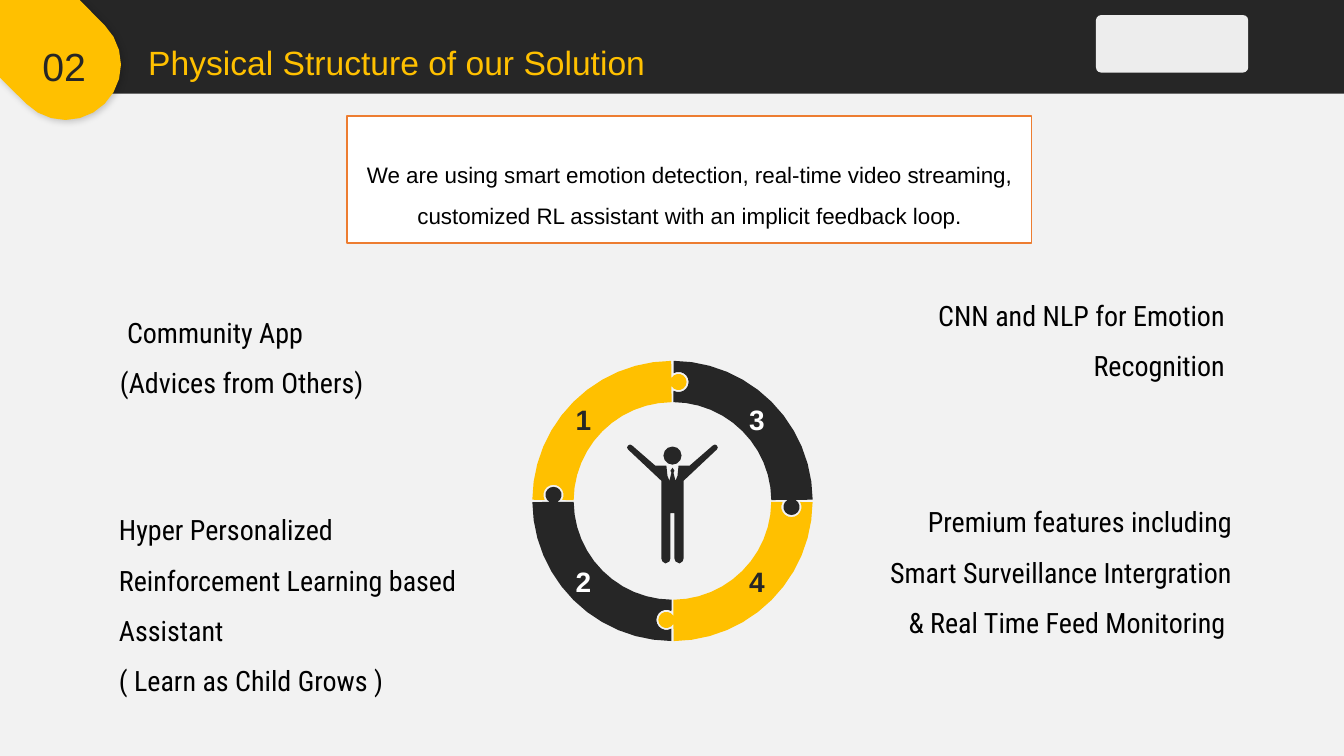
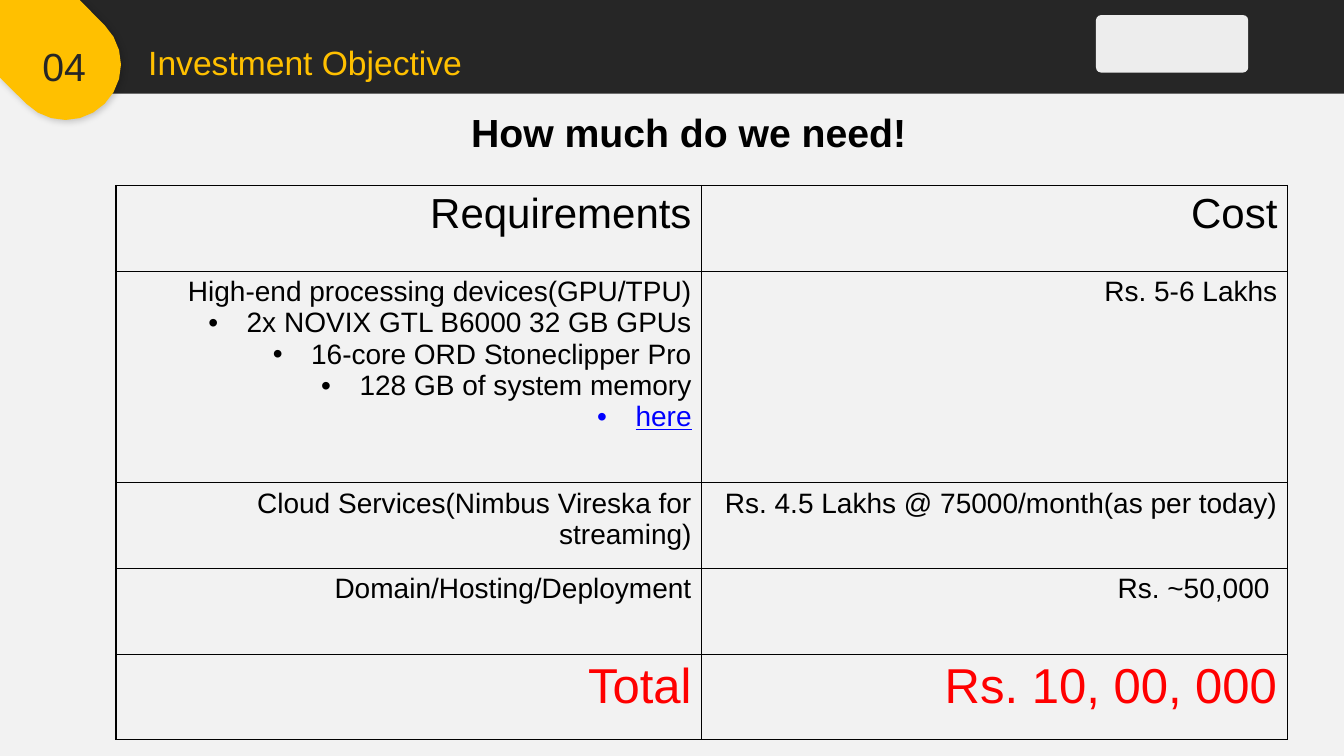
from math import cos, radians, sin

from lxml.etree import SubElement
from pptx import Presentation
from pptx.dml.color import RGBColor
from pptx.enum.shapes import MSO_SHAPE
from pptx.enum.text import MSO_ANCHOR, MSO_AUTO_SIZE, PP_ALIGN
from pptx.oxml import parse_xml
from pptx.oxml.ns import nsdecls, qn
from pptx.util import Inches, Pt

DARK = RGBColor(0x26, 0x26, 0x26)
YELLOW = RGBColor(0xFF, 0xC0, 0x00)
PAPER = RGBColor(0xF2, 0xF2, 0xF2)
PLATE = RGBColor(0xED, 0xED, 0xED)
WHITE = RGBColor(0xFF, 0xFF, 0xFF)
BLACK = RGBColor(0x00, 0x00, 0x00)
ORANGE = RGBColor(0xED, 0x7D, 0x31)
RED = RGBColor(0xFF, 0x00, 0x00)
LINK_BLUE = RGBColor(0x00, 0x00, 0xFF)

ARIAL = "Arial"
CONDENSED = "Roboto Condensed"
RING_X, RING_Y = 6.67, 4.97
RING_OUTER, RING_INNER, RING_MIDDLE = 1.39, 0.98, 1.18

REQUIREMENTS = [
    (["Requirements"], "Cost", 30, BLACK),
    (["High-end processing devices(GPU/TPU)", "2x NOVIX GTL B6000 32 GB GPUs",
      "16-core ORD Stoneclipper Pro", "128 GB of system memory", "here"],
     "Rs. 5-6 Lakhs", 20, BLACK),
    (["Cloud Services(Nimbus Vireska for streaming)"],
     "Rs. 4.5 Lakhs @ 75000/month(as per today)", 20, BLACK),
    (["Domain/Hosting/Deployment"], "Rs. ~50,000 ", 20, BLACK),
    (["Total"], "Rs. 10, 00, 000", 35, RED),
]


# Text
def style(para, size, color, font=ARIAL, bold=False, align=PP_ALIGN.LEFT, spacing=1.0):
    para.alignment = align
    para.line_spacing = spacing
    para.space_before = Pt(0)
    para.font.name = font
    para.font.size = Pt(size)
    para.font.bold = bold
    para.font.color.rgb = color


def set_indent(para, left, first):
    properties = para._p.get_or_add_pPr()
    properties.set("marL", str(Inches(left)))
    properties.set("indent", str(Inches(first)))
    return properties


def prepare_frame(frame, inset, wrap=True):
    frame.word_wrap = wrap
    frame.auto_size = MSO_AUTO_SIZE.NONE
    frame.vertical_anchor = MSO_ANCHOR.TOP
    frame.margin_left = frame.margin_right = Inches(inset)
    frame.margin_top = frame.margin_bottom = Inches(inset)


def add_text(slide, place, lines, size, color, inset=0.05, wrap=True, **look):
    box = slide.shapes.add_textbox(*map(Inches, place))
    prepare_frame(box.text_frame, inset, wrap)
    box.text_frame.text = "\n".join(lines)
    for para in box.text_frame.paragraphs:
        style(para, size, color, **look)
    return box


def fill_placeholder(placeholder, place, text, size, color, **look):
    placeholder.left, placeholder.top, placeholder.width, placeholder.height = map(Inches, place)
    prepare_frame(placeholder.text_frame, 0.05)
    placeholder.text_frame.text = text
    para = placeholder.text_frame.paragraphs[0]
    SubElement(set_indent(para, 0, 0), qn("a:buNone"))
    style(para, size, color, **look)


# Shapes
def paint(shape, fill, line=None):
    shape.shadow.inherit = False
    shape.fill.solid()
    shape.fill.fore_color.rgb = fill
    if line is None:
        shape.line.fill.background()
    else:
        shape.line.color.rgb = line
        shape.line.width = Pt(1)
    return shape


def add_preset(slide, kind, place, fill, line=None):
    return paint(slide.shapes.add_shape(kind, *map(Inches, place)), fill, line)


def add_outline(slide, points, fill):
    corners = [(Inches(x), Inches(y)) for x, y in points]
    builder = slide.shapes.build_freeform(*corners[0])
    builder.add_line_segments(corners[1:], close=True)
    return paint(builder.convert_to_shape(), fill)


def arc(x, y, radius, start, end, steps=12):
    angles = [radians(start + (end - start) * i / steps) for i in range(steps + 1)]
    return [(x + radius * cos(a), y + radius * sin(a)) for a in angles]


# Shared header, kept on the master
def build_master(deck, slide):
    master = deck.slide_master
    master.background.fill.solid()
    master.background.fill.fore_color.rgb = PAPER

    band = add_preset(slide, MSO_SHAPE.RECTANGLE, (0, 0, 13.33, 0.93), DARK)
    corner = add_preset(slide, MSO_SHAPE.RIGHT_TRIANGLE, (0, 0, 1.35, 1.35), PAPER)
    drop = [(0, 0), (0.79, 0)] + arc(0.65, 0.64, 0.55, -45, 135) + [(0, 0.77)]
    badge = add_outline(slide, drop, YELLOW)
    badge.element.spPr.find(qn("a:effectLst")).append(parse_xml(
        f'<a:outerShdw {nsdecls("a")} blurRad="63500" dist="25400" dir="2700000">'
        '<a:srgbClr val="000000"><a:alpha val="20000"/></a:srgbClr></a:outerShdw>'))
    plate = add_preset(slide, MSO_SHAPE.ROUNDED_RECTANGLE, (10.87, 0.15, 1.51, 0.57), PLATE)
    plate.adjustments[0] = 0.09

    for number, shape in enumerate((band, corner, badge, plate), 101):
        shape.element.nvSpPr.cNvPr.set("id", str(number))
        master.shapes.element.append(shape.element)


def add_heading(slide, number, title):
    fill_placeholder(slide.shapes.title, (1.42, 0.37, 7.91, 0.48), title, 24, YELLOW)
    add_text(slide, (0.29, 0.37, 0.69, 0.53), [number], 28, DARK, align=PP_ALIGN.CENTER)


# Puzzle ring and figure
def add_puzzle_ring(slide):
    piece = (arc(0, 0, RING_OUTER, -89.5, -0.5)
             + arc(RING_MIDDLE, 0.06, 0.08, -61, 241)
             + arc(0, 0, RING_INNER, -0.5, -89.5)
             + arc(0.06, -RING_MIDDLE, 0.1, 120, -120))
    for fill in (DARK, YELLOW, DARK, YELLOW):
        add_outline(slide, [(RING_X + x, RING_Y + y) for x, y in piece], fill)
        piece = [(-y, x) for x, y in piece]

    numbers = [("1", 5.66, 3.94, DARK), ("3", 7.38, 3.94, WHITE),
               ("2", 5.66, 5.55, WHITE), ("4", 7.38, 5.55, DARK)]
    for number, left, top, color in numbers:
        add_text(slide, (left, top, 0.27, 0.41), [number], 20, color, wrap=False, bold=True)


def add_figure(slide):
    add_preset(slide, MSO_SHAPE.OVAL, (6.58, 4.43, 0.18, 0.18), DARK)
    right_half = [
        (0, 4.64), (0.02, 4.67), (0.01, 4.69), (0.03, 4.77), (0.05, 4.72), (0.06, 4.62),
        (0.17, 4.62), (0.4, 4.42), (0.42, 4.41), (0.44, 4.42), (0.45, 4.44), (0.44, 4.46),
        (0.11, 4.77), (0.11, 5.54), (0.1, 5.57), (0.07, 5.59), (0.03, 5.57), (0.02, 5.54),
        (0.02, 5.09)]
    left_half = [(-x, y) for x, y in reversed(right_half[1:])]
    add_outline(slide, [(RING_X + x, y) for x, y in right_half + left_half], DARK)


def build_structure_slide(slide):
    add_heading(slide, "02", "Physical Structure of our Solution")

    # Summary box
    add_preset(slide, MSO_SHAPE.RECTANGLE, (3.44, 1.15, 6.79, 1.26), WHITE, ORANGE)
    add_text(slide, (3.5, 1.42, 6.68, 0.71),
             ["We are using smart emotion detection, real-time video streaming, "
              "customized RL assistant with an implicit feedback loop."],
             16, BLACK, align=PP_ALIGN.CENTER, spacing=1.5)

    add_puzzle_ring(slide)
    add_figure(slide)

    # Captions around the ring
    captions = [
        ((1.19, 2.96, 2.75, 0.83), PP_ALIGN.LEFT, ["Community App (Advices from Others)"]),
        ((1.18, 4.92, 3.57, 2.33), PP_ALIGN.LEFT,
         ["Hyper Personalized Reinforcement Learning based Assistant",
          "( Learn as Child Grows )"]),
        ((9.23, 2.79, 2.92, 1), PP_ALIGN.RIGHT, ["CNN and NLP for Emotion Recognition"]),
        ((8.65, 4.84, 3.57, 1.83), PP_ALIGN.RIGHT,
         ["Premium features including Smart Surveillance Intergration "
          "& Real Time Feed Monitoring "]),
    ]
    boxes = [add_text(slide, place, lines, 20, BLACK, inset=0, font=CONDENSED,
                      align=align, spacing=1.5)
             for place, align, lines in captions]
    set_indent(boxes[0].text_frame.paragraphs[0], 0, 0.07)


# Cost table
def add_bullet(para):
    properties = set_indent(para, 0.38, -0.38)
    SubElement(properties, qn("a:buFont")).set("typeface", ARIAL)
    SubElement(properties, qn("a:buChar")).set("char", "•")


def fill_cell(cell, lines, size, color):
    cell.fill.background()
    properties = cell._tc.get_or_add_tcPr()
    for position, side in enumerate(("lnL", "lnR", "lnT", "lnB")):
        properties.insert(position, parse_xml(
            f'<a:{side} {nsdecls("a")} w="12700"><a:solidFill>'
            f'<a:srgbClr val="{BLACK}"/></a:solidFill></a:{side}>'))
    cell.text_frame.text = "\n".join(lines)
    for index, para in enumerate(cell.text_frame.paragraphs):
        if index:
            add_bullet(para)
        style(para, size, color, align=PP_ALIGN.RIGHT)
        if para.text == "here":
            span = para.runs[0]
            span.font.color.rgb = LINK_BLUE
            span.font.underline = True


def build_investment_slide(slide):
    add_heading(slide, "04", "Investment Objective")
    fill_placeholder(slide.placeholders[1], (2.07, 1.08, 9.52, 0.73), "How much do we need!",
                     28, BLACK, bold=True, align=PP_ALIGN.CENTER, spacing=0.9)

    place = map(Inches, (1.15, 1.84, 11.62, 5.5))
    table = slide.shapes.add_table(len(REQUIREMENTS), 2, *place).table
    table.first_row = table.horz_banding = False
    for row, (items, cost, size, color) in zip(table.rows, REQUIREMENTS):
        row.height = Inches(2.1 if len(items) > 1 else 0.85)
        fill_cell(row.cells[0], items, size, color)
        fill_cell(row.cells[1], [cost], size, color)


def main():
    deck = Presentation()
    deck.slide_width, deck.slide_height = Inches(13.33), Inches(7.5)
    structure = deck.slides.add_slide(deck.slide_layouts[5])
    investment = deck.slides.add_slide(deck.slide_layouts[1])
    build_master(deck, structure)
    build_structure_slide(structure)
    build_investment_slide(investment)
    deck.save("out.pptx")


if __name__ == "__main__":
    main()
